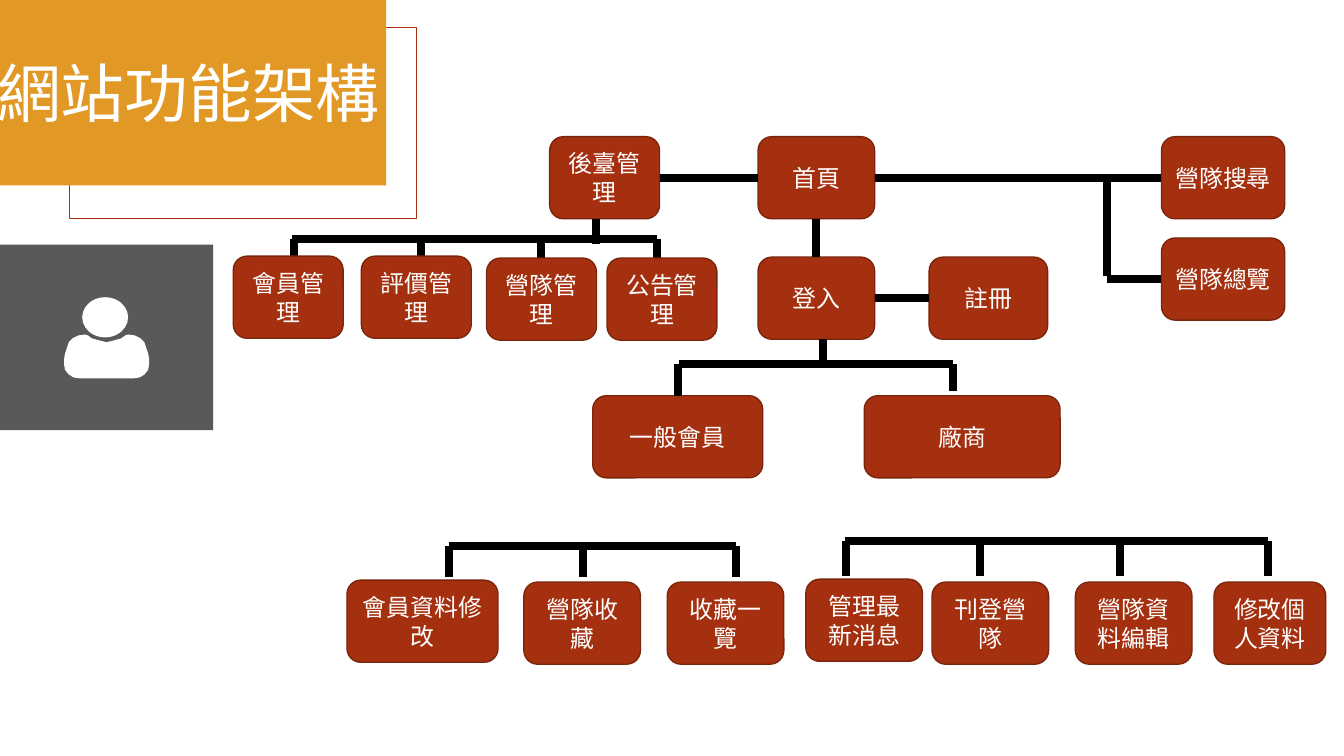
from lxml.etree import SubElement
from pptx import Presentation
from pptx.dml.color import RGBColor
from pptx.enum.shapes import MSO_CONNECTOR as Link, MSO_SHAPE as Kind
from pptx.enum.text import MSO_ANCHOR as Anchor, MSO_AUTO_SIZE as Fit, PP_ALIGN as Align
from pptx.oxml.ns import qn
from pptx.util import Inches, Pt

TOP, LEFT, BOTTOM, RIGHT = range(4)


def paint(target, color):
    """Give a fill, line fill or font a solid colour."""
    if hasattr(target, "solid"):
        target.solid()
        target.fore_color.rgb = RGBColor.from_string(color)
    else:
        target.color.rgb = RGBColor.from_string(color)


def write(frame, text, size=18, color="FFFFFF", face="Noto Sans CJK SC", align=Align.CENTER):
    frame.word_wrap = True
    frame.auto_size = Fit.NONE
    frame.vertical_anchor = Anchor.MIDDLE
    para = frame.paragraphs[0]
    para.alignment = align
    run = para.add_run()
    run.text = text
    run.font.size = Pt(size)
    run.font.name = face
    paint(run.font, color)
    SubElement(run._r.get_or_add_rPr(), qn("a:ea"), typeface=face)


class Chart:
    rust, edge, gold, gray, white, black = (
        "A5300F", "7A240B", "E19825", "595959", "FFFFFF", "000000")
    tall = 0.86

    def __init__(self, slide):
        self.slide = slide
        self.shapes = slide.shapes

    def style(self, shape, fill, line):
        shape.shadow.inherit = False
        if fill:
            paint(shape.fill, fill)
        else:
            shape.fill.background()
        if line:
            paint(shape.line, line)
            shape.line.width = Pt(1)
        else:
            shape.line.fill.background()
        return shape

    def shape(self, kind, x, y, w, h, fill=None, line=None):
        shape = self.shapes.add_shape(kind, Inches(x), Inches(y), Inches(w), Inches(h))
        return self.style(shape, fill, line)

    def outline(self, points, fill):
        first, *rest = [(Inches(x), Inches(y)) for x, y in points]
        pen = self.shapes.build_freeform(*first)
        pen.add_line_segments(rest)
        return self.style(pen.convert_to_shape(), fill, None)

    def title(self, text, x, y, w, h):
        title = self.shapes.title
        title.left, title.top = Inches(x), Inches(y)
        title.width, title.height = Inches(w), Inches(h)
        write(title.text_frame, text, size=48, align=Align.LEFT)
        title.element.getparent().append(title.element)  # above the gold block

    def box(self, text, x, y, w):
        box = self.shape(Kind.ROUNDED_RECTANGLE, x, y, w, self.tall, self.rust, self.edge)
        write(box.text_frame, text)
        return box

    def wire(self, x1, y1, x2, y2, start=None, stop=None):
        """Thick line; start and stop are (box, side) pairs to join."""
        wire = self.shapes.add_connector(
            Link.STRAIGHT, Inches(x1), Inches(y1), Inches(x2), Inches(y2))
        paint(wire.line, self.black)
        wire.line.width = Pt(6)
        SubElement(wire.element.spPr, qn("a:effectLst"))
        if start:
            wire.begin_connect(*start)
        if stop:
            wire.end_connect(*stop)

    def fork(self, left, right, y, drops, low):
        self.wire(left, y, right, y)
        for x in drops:
            self.wire(x, y, x, low)


def main():
    deck = Presentation()
    deck.slide_width, deck.slide_height = Inches(14.06), Inches(7.91)
    chart = Chart(deck.slides.add_slide(deck.slide_layouts[5]))

    # Person icon, its body mirrored about the panel's centre
    panel = 2.23
    chart.shape(Kind.RECTANGLE, 0, 2.56, panel, 1.94, chart.gray)
    chart.shape(Kind.OVAL, 0.86, 3.11, 0.48, 0.42, chart.white)
    half = [(1.11, 3.58), (1.03, 3.56), (0.96, 3.54), (0.92, 3.51), (0.89, 3.5),
            (0.82, 3.51), (0.76, 3.54), (0.72, 3.58), (0.7, 3.64), (0.68, 3.7),
            (0.67, 3.76), (0.67, 3.81), (0.68, 3.87), (0.72, 3.92), (0.77, 3.95), (0.84, 3.96)]
    chart.outline(half + [(panel - x, y) for x, y in reversed(half)], chart.white)

    # Title block
    chart.shape(Kind.RECTANGLE, 0.73, 0.29, 3.63, 2, line=chart.rust)
    chart.shape(Kind.RECTANGLE, 0, 0, 4.04, 1.94, chart.gold)
    chart.title("網站功能架構", -0.13, 0.4, 4.68, 1.13)

    # Main pages
    admin = chart.box("後臺管理", 5.75, 1.43, 1.15)
    home = chart.box("首頁", 7.93, 1.43, 1.22)
    search = chart.box("營隊搜尋", 12.15, 1.43, 1.29)
    total = chart.box("營隊總覽", 12.15, 2.49, 1.29)
    login = chart.box("登入", 7.93, 2.69, 1.22)
    signup = chart.box("註冊", 9.72, 2.69, 1.24)
    member = chart.box("一般會員", 6.2, 4.14, 1.78)
    chart.box("廠商", 9.04, 4.14, 2.05)

    # Links between main pages
    chart.wire(6.9, 1.86, 7.93, 1.86, (admin, RIGHT), (home, LEFT))
    chart.wire(9.15, 1.86, 12.15, 1.86, (home, RIGHT), (search, LEFT))
    chart.wire(9.15, 3.12, 9.72, 3.12, (login, RIGHT), (signup, LEFT))
    chart.wire(8.54, 2.69, 8.54, 2.29, (login, TOP), (home, BOTTOM))
    chart.wire(11.58, 2.92, 12.15, 2.92, stop=(total, LEFT))
    chart.wire(11.58, 2.89, 11.58, 1.87)

    # Login splits into member and vendor
    chart.wire(8.61, 3.81, 8.61, 3.55)
    chart.fork(7.1, 9.97, 3.81, [9.97], 4.09)
    chart.wire(7.09, 4.14, 7.09, 3.81, start=(member, TOP))

    # Admin, member and vendor forks
    chart.wire(6.23, 2.55, 6.23, 2.29)
    chart.fork(3.05, 6.87, 2.5, [3.08, 4.4, 5.66, 6.87], 2.83)
    chart.fork(4.7, 7.7, 5.71, [4.7, 6.1, 7.7], 6.04)
    chart.fork(8.84, 13.26, 5.66, [8.85, 10.25, 11.72, 13.26], 6.03)

    # Pages under each fork
    for text, x, y, w in [
        ("會員管理", 2.44, 2.68, 1.15),
        ("評價管理", 3.78, 2.68, 1.15),
        ("營隊管理", 5.09, 2.7, 1.15),
        ("公告管理", 6.35, 2.7, 1.15),
        ("會員資料修改", 3.63, 6.07, 1.58),
        ("營隊收藏", 5.48, 6.09, 1.22),
        ("收藏一覽", 6.98, 6.09, 1.22),
        ("管理最新消息", 8.43, 6.06, 1.22),
        ("刊登營隊", 9.75, 6.09, 1.22),
        ("營隊資料編輯", 11.25, 6.09, 1.22),
        ("修改個人資料", 12.7, 6.09, 1.17),
    ]:
        chart.box(text, x, y, w)

    deck.save("out.pptx")


if __name__ == "__main__":
    main()
